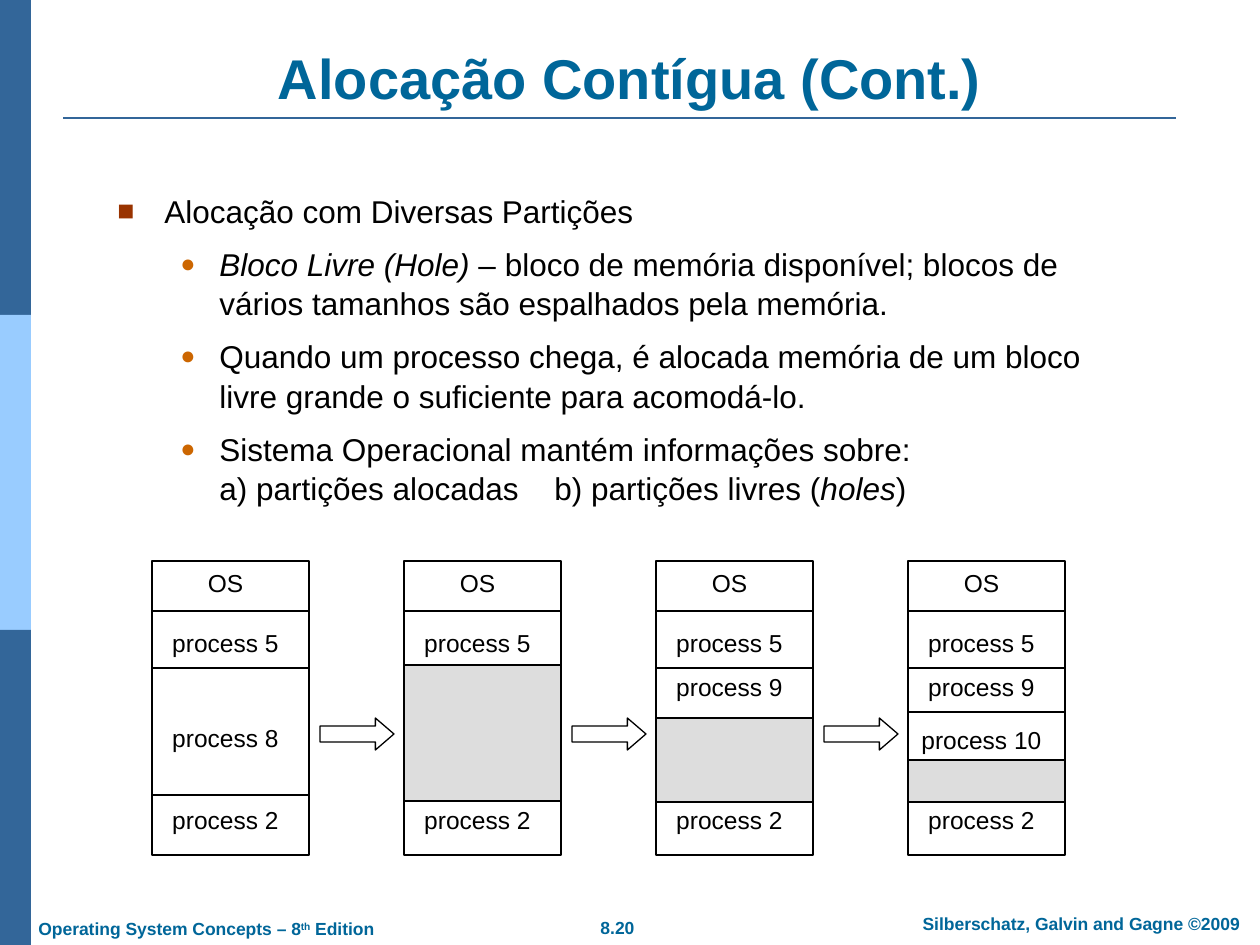
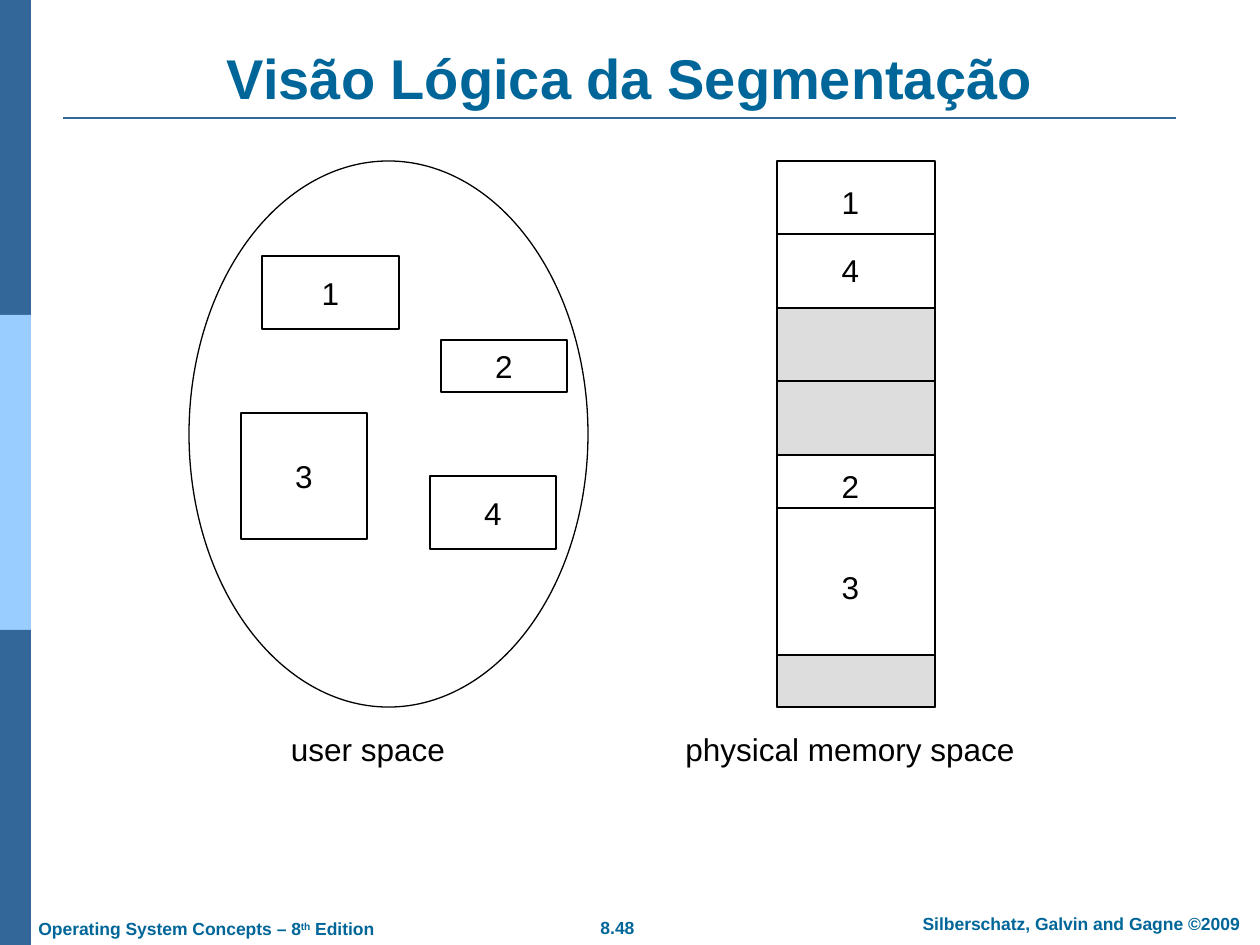
from lxml.etree import SubElement
from pptx import Presentation
from pptx.dml.color import RGBColor
from pptx.enum.shapes import MSO_CONNECTOR, MSO_SHAPE
from pptx.enum.text import MSO_ANCHOR, MSO_AUTO_SIZE, PP_ALIGN
from pptx.oxml.ns import qn
from pptx.util import Emu, Pt

SLIDE_W, SLIDE_H = 1260, 945
FONT = "Arial"
COLORS = {
    "title": "006699", "band": "336699", "band_light": "99CCFF",
    "text": "000000", "line": "000000", "paper": "FFFFFF", "hole": "DDDDDD",
    "square": "993300", "dot": "CC6600",
}
BULLETS = [
    ("■", "square", 90, 47, -47),
    ("●", "dot", 80, 102, -39),
]


def px(n):
    """Turn px at 126 to the inch into EMU."""
    return Emu(round(n * 914400 / 126))


def rgb(name):
    """Look up a named colour."""
    return RGBColor.from_string(COLORS[name])


def format_runs(p, size, color="text", bold=False):
    """Give every run of a paragraph the same font."""
    for r in p.runs:
        r.font.name, r.font.size, r.font.bold = FONT, Pt(size), bold
        r.font.color.rgb = rgb(color)


def add_text(s, text, box, size, color="text", bold=False,
             align=PP_ALIGN.CENTER, anchor=MSO_ANCHOR.MIDDLE):
    """Add a one-line text box and return its paragraph."""
    tf = s.shapes.add_textbox(*map(px, box)).text_frame
    tf.word_wrap = align != PP_ALIGN.CENTER
    tf.vertical_anchor = anchor
    tf.text = text
    p = tf.paragraphs[0]
    p.alignment = align
    format_runs(p, size, color, bold)
    return p


def add_box(s, box, fill="paper", line="line", kind=MSO_SHAPE.RECTANGLE, text=""):
    """Add a filled preset shape, with a thin outline if a line colour is given."""
    sp = s.shapes.add_shape(kind, *map(px, box))
    sp.shadow.inherit = False
    sp.fill.solid()
    sp.fill.fore_color.rgb = rgb(fill)
    if line:
        sp.line.color.rgb = rgb(line)
        sp.line.width = Pt(0.75)
    else:
        sp.line.fill.background()
    if text:
        tf = sp.text_frame
        tf.text = text
        tf.vertical_anchor = MSO_ANCHOR.MIDDLE
        tf.paragraphs[0].alignment = PP_ALIGN.CENTER
        format_runs(tf.paragraphs[0], 18)
    return sp


def add_rule(s, x, y, w, color="line", width=0.75):
    """Add a horizontal line."""
    c = s.shapes.add_connector(MSO_CONNECTOR.STRAIGHT, px(x), px(y), px(x + w), px(y))
    c.line.color.rgb = rgb(color)
    c.line.width = Pt(width)
    SubElement(c._element.spPr, qn("a:effectLst"))


def add_footer(s, number):
    """Write the book, page and copyright along the bottom."""
    style = dict(size=10, color="title", bold=True, anchor=MSO_ANCHOR.TOP)
    add_text(s, number, (556, 911, 123, 34), **style)
    add_text(s, "Silberschatz, Galvin and Gagne ©2009", (880, 907, 372, 34),
             align=PP_ALIGN.RIGHT, **style)
    p = add_text(s, "Operating System Concepts – 8", (26, 912, 378, 34),
                 align=PP_ALIGN.LEFT, **style)
    for text in ("th", " Edition"):
        p.add_run().text = text
    format_runs(p, 10, "title", True)
    p.runs[1]._r.get_or_add_rPr().set("baseline", "30000")


def new_slide(prs, title, number):
    """Add a slide with the side bands, title, rule and footer."""
    s = prs.slides.add_slide(prs.slide_layouts[5])
    band_h = SLIDE_H // 3
    for i, fill in enumerate(("band", "band_light", "band")):
        add_box(s, (0, i * band_h, 31, band_h), fill, line=None)
    add_rule(s, 63, 118, 1113, "band", 1.5)
    add_footer(s, number)
    sp = s.shapes.title
    sp.left, sp.top, sp.width, sp.height = map(px, (63, 38, 1134, 79))
    tf = sp.text_frame
    tf.text = title
    tf.auto_size = MSO_AUTO_SIZE.NONE
    tf.vertical_anchor = MSO_ANCHOR.BOTTOM
    tf.paragraphs[0].alignment = PP_ALIGN.CENTER
    format_runs(tf.paragraphs[0], 32, "title", True)
    return s


def set_bullet(p, level, tabs=()):
    """Give a paragraph the bullet, indent and tab stops of its level."""
    char, color, size, margin, indent = BULLETS[level]
    p.level = level
    pPr = p._p.get_or_add_pPr()
    pPr.set("marL", str(px(margin)))
    pPr.set("indent", str(px(indent)))
    clr = SubElement(pPr, qn("a:buClr"))
    SubElement(clr, qn("a:srgbClr"), val=COLORS[color])
    SubElement(pPr, qn("a:buSzPct"), val=str(size * 1000))
    SubElement(pPr, qn("a:buFont"), typeface=FONT)
    SubElement(pPr, qn("a:buChar"), char=char)
    if tabs:
        stops = SubElement(pPr, qn("a:tabLst"))
        for pos in tabs:
            SubElement(stops, qn("a:tab"), pos=str(px(pos)), algn="l")


def bullet_list(s, box, items):
    """Write bulleted items, each a level, its tab stops and (text, italic) parts."""
    tf = s.shapes.add_textbox(*map(px, box)).text_frame
    tf.word_wrap = True
    for i, (level, tabs, parts) in enumerate(items):
        p = tf.add_paragraph() if i else tf.paragraphs[0]
        set_bullet(p, level, tabs)
        p.line_spacing = 1.04
        if i:
            p.space_before = Pt(7.9)
        for text, italic in parts:
            for n, line in enumerate(text.split("\n")):
                if n:
                    p.add_line_break()
                r = p.add_run()
                r.text = line
                r.font.italic = italic
        format_runs(p, 18)


def memory_column(s, box, dividers, holes, labels, size):
    """Draw a memory map whose holes, dividers and labels are offsets from its top."""
    x, y, w, h = box
    add_box(s, box)
    for top, bottom in holes:
        add_box(s, (x, y + top, w, bottom - top), "hole")
    for offset in dividers:
        add_rule(s, x, y + offset, w)
    label_h = 43 if size == 14 else 50
    for text, offset in labels:
        add_text(s, text, (x, y + offset, 147, label_h), size)


def allocation_steps(s, x, y):
    """Draw the four memory states and the arrows between them."""
    w, h, step = 157, 294, 252
    common = [("OS", 0), ("process 5", 60), ("process 2", 237)]
    nine = ("process 9", 104)
    states = [
        ([50, 107, 234], [], [("process 8", 155)]),
        ([50], [(104, 240)], []),
        ([50, 107], [(157, 241)], [nine]),
        ([50, 107, 151], [(199, 241)], [nine, ("process 10", 157)]),
    ]
    for i, (dividers, holes, labels) in enumerate(states):
        left = x + i * step
        memory_column(s, (left, y, w, h), dividers, holes, common + labels, 14)
        if i < len(states) - 1:
            sp = add_box(s, (left + 168, y + 157, 74, 32), kind=MSO_SHAPE.RIGHT_ARROW)
            sp.adjustments[0], sp.adjustments[1] = 0.5, 0.58


def user_space(s, x, y):
    """Draw the oval user space with its numbered segments."""
    add_box(s, (x, y, 399, 546), kind=MSO_SHAPE.OVAL)
    segments = [
        ("1", 73, 95, 137, 73), ("3", 52, 252, 126, 126),
        ("2", 252, 179, 126, 52), ("4", 241, 315, 126, 73),
    ]
    for text, dx, dy, w, h in segments:
        add_box(s, (x + dx, y + dy, w, h), text=text)
    add_text(s, "user space", (x + 85, y + 563, 188, 50), 18)


def physical_space(s, x, y):
    """Draw physical memory holding the segments."""
    memory_column(s, (x, y, 158, 546), [73, 147, 220, 294, 347],
                  [(147, 294), (494, 546)],
                  [("1", 16), ("4", 84), ("2", 300), ("3", 401)], 18)
    add_text(s, "physical memory space", (x - 104, y + 563, 354, 50), 18)


def contiguous_slide(prs):
    """Build the slide on contiguous allocation."""
    s = new_slide(prs, "Alocação Contígua (Cont.)", "8.20")
    bullet_list(s, (105, 184, 1013, 359), [
        (0, (), [("Alocação com Diversas Partições", False)]),
        (1, (), [("Bloco Livre (Hole)", True),
                 (" – bloco de memória disponível; blocos de vários tamanhos "
                  "são espalhados pela memória.", False)]),
        (1, (), [("Quando um processo chega, é alocada memória de um bloco livre "
                  "grande o suficiente para acomodá-lo.", False)]),
        (1, (335, 437), [("Sistema Operacional mantém informações sobre:\n"
                          "a) partições alocadas\tb) partições livres (", False),
                         ("holes", True), (")", False)]),
    ])
    allocation_steps(s, 152, 561)


def segmentation_slide(prs):
    """Build the slide on the logical view of segmentation."""
    s = new_slide(prs, "Visão Lógica da Segmentação", "8.48")
    user_space(s, 189, 161)
    physical_space(s, 777, 161)


def main():
    """Build and save the presentation."""
    prs = Presentation()
    prs.slide_width, prs.slide_height = px(SLIDE_W), px(SLIDE_H)
    contiguous_slide(prs)
    segmentation_slide(prs)
    prs.save("out.pptx")


if __name__ == "__main__":
    main()
